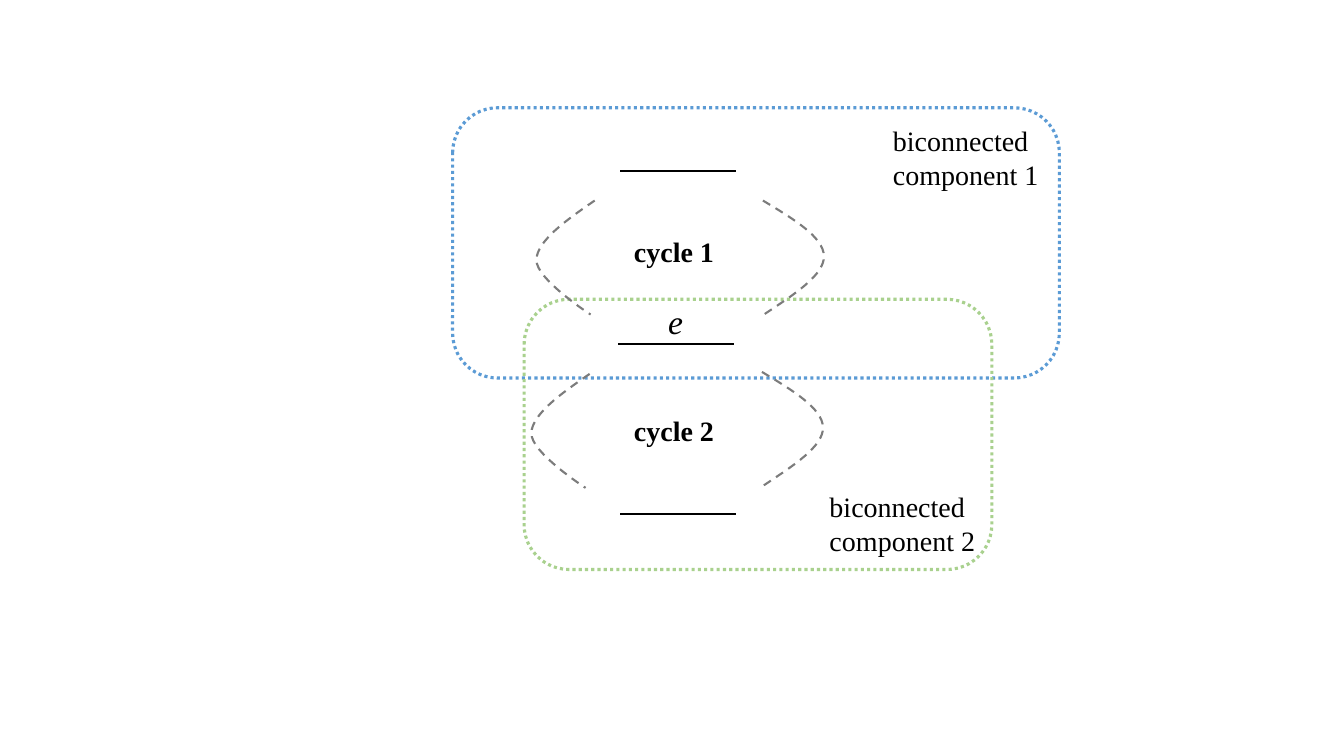
from dataclasses import dataclass, field

from lxml import etree
from pptx import Presentation
from pptx.dml.color import RGBColor
from pptx.enum.dml import MSO_LINE
from pptx.enum.shapes import MSO_CONNECTOR, MSO_SHAPE
from pptx.oxml.ns import qn
from pptx.util import Pt

ROUND = MSO_SHAPE.ROUNDED_RECTANGLE
STRAIGHT = MSO_CONNECTOR.STRAIGHT
DOT = MSO_LINE.ROUND_DOT
DASH = MSO_LINE.DASH
BLACK = "000000"
GREY = "7C7C7C"
FONT = "Times New Roman"
STEPS = 16
EDGE = 82.8

Point = tuple[float, float]


@dataclass
class Frame:
    left: float
    top: float
    width: float
    height: float
    color: str


@dataclass
class Label:
    text: str
    left: float
    top: float
    width: float
    height: float
    style: dict = field(default_factory=dict)


@dataclass
class Arc:
    start: Point
    bends: list[Point]


LEFT = [(0, 0), (-20.9, 14.4), (-41, 28.8), (-41.6, 42.2),
        (-42.3, 56), (-2.9, 81.4), (-2.9, 81.4)]
RIGHT = [(0, 0), (21.6, 13), (43.2, 25.9), (43.6, 39.6),
         (43.9, 53.3), (22.3, 67), (0.7, 81.4)]

EDGES = [(441.4, 245.5), (442.8, 122.4), (442.8, 367.2)]
FRAMES = [
    Frame(323.3, 77, 433.4, 193, "5B9BD5"),
    Frame(374.4, 213.8, 334.1, 193, "A9D18E"),
]
LABELS = [
    Label("e", 470.2, 211.7, 90.7, 36, {"size": Pt(24), "italic": True}),
    Label("biconnected component 1", 630.7, 85, 195.1, 55.4),
    Label("biconnected component 2", 585.4, 346.3, 195.1, 55.4),
    Label("cycle 1", 445.7, 164.2, 195.1, 31.7, {"bold": True}),
    Label("cycle 2", 445.7, 291.6, 195.1, 31.7, {"bold": True}),
]
ARCS = [
    Arc((424.8, 143.3), LEFT),
    Arc((421.2, 267.1), LEFT),
    Arc((545, 143.3), RIGHT),
    Arc((544.3, 265.7), RIGHT),
]


def paint(target, color: str) -> None:
    target.rgb = RGBColor.from_string(color)


def stroke(shape, color: str, width: float, dash=None) -> None:
    paint(shape.line.color, color)
    shape.line.width = Pt(width)
    if dash is not None:
        shape.line.dash_style = dash


def draw_edge(slide, left: float, top: float) -> None:
    edge = slide.shapes.add_connector(
        STRAIGHT, Pt(left + EDGE), Pt(top), Pt(left), Pt(top))
    stroke(edge, BLACK, 1.5)
    etree.SubElement(edge._element.spPr, qn("a:effectLst"))


def draw_frame(slide, frame: Frame) -> None:
    shape = slide.shapes.add_shape(
        ROUND, Pt(frame.left), Pt(frame.top), Pt(frame.width), Pt(frame.height))
    shape.shadow.inherit = False
    shape.fill.background()
    stroke(shape, frame.color, 2.25, DOT)


def draw_label(slide, label: Label) -> None:
    box = slide.shapes.add_textbox(
        Pt(label.left), Pt(label.top), Pt(label.width), Pt(label.height))
    box.text_frame.word_wrap = True
    run = box.text_frame.paragraphs[0].add_run()
    run.text = label.text
    style = {"name": FONT, "size": Pt(20)} | label.style
    for name, value in style.items():
        setattr(run.font, name, value)
    paint(run.font.color, BLACK)


def curve(ends: list[Point], t: float) -> Point:
    u = 1 - t
    parts = (u**3, 3 * u * u * t, 3 * u * t * t, t**3)
    return (sum(p * x for p, (x, _) in zip(parts, ends)),
            sum(p * y for p, (_, y) in zip(parts, ends)))


def draw_arc(slide, arc: Arc) -> None:
    left, top = arc.start
    dots = [curve(arc.bends[i:i + 4], n / STEPS)
            for i in (0, 3) for n in range(1, STEPS + 1)]
    path = slide.shapes.build_freeform(Pt(left), Pt(top))
    path.add_line_segments(
        [(Pt(left + x), Pt(top + y)) for x, y in dots], close=False)
    shape = path.convert_to_shape()
    shape.shadow.inherit = False
    shape.fill.background()
    stroke(shape, GREY, 1.5, DASH)


def main() -> None:
    deck = Presentation()
    deck.slide_width, deck.slide_height = Pt(960), Pt(540)
    slide = deck.slides.add_slide(deck.slide_layouts[6])
    for left, top in EDGES:
        draw_edge(slide, left, top)
    for frame in FRAMES:
        draw_frame(slide, frame)
    for arc in ARCS:
        draw_arc(slide, arc)
    for label in LABELS:
        draw_label(slide, label)
    deck.save("out.pptx")


if __name__ == "__main__":
    main()
